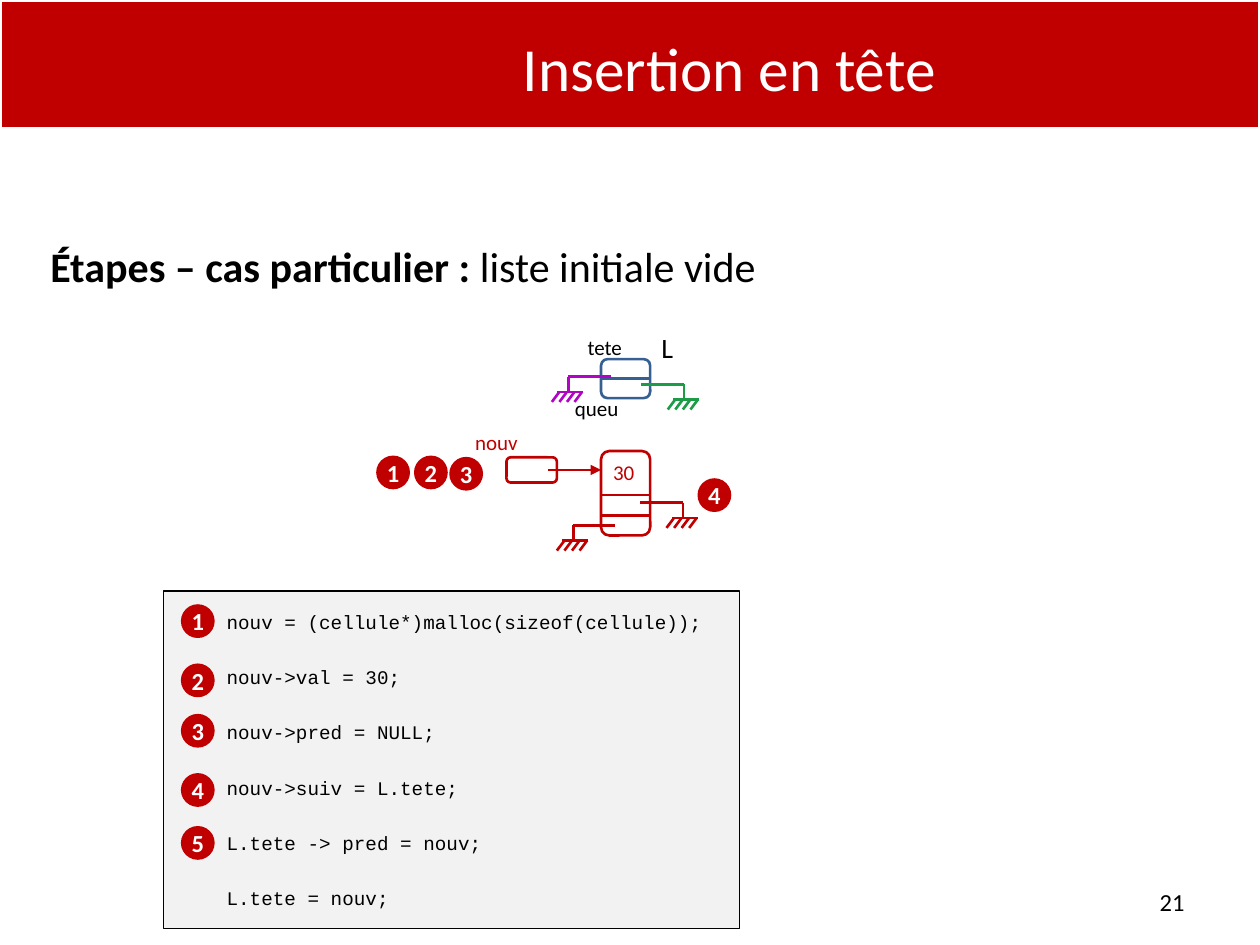
from pptx import Presentation
from pptx.dml.color import RGBColor
from pptx.enum.shapes import MSO_CONNECTOR, MSO_SHAPE
from pptx.enum.text import MSO_ANCHOR, PP_ALIGN
from pptx.oxml.ns import qn
from pptx.util import Inches, Pt
from lxml.etree import SubElement

RED = RGBColor(0xC0, 0x00, 0x00)
WHITE = RGBColor(0xFF, 0xFF, 0xFF)
BLACK = RGBColor(0x00, 0x00, 0x00)
BLUE = RGBColor(0x36, 0x60, 0x92)
PURPLE = RGBColor(0xB1, 0x05, 0xC3)
GREEN = RGBColor(0x1C, 0x9C, 0x47)
GREY = RGBColor(0xF2, 0xF2, 0xF2)

deck = Presentation()
deck.slide_width, deck.slide_height = Inches(10), Inches(7.5)
slide = deck.slides.add_slide(deck.slide_layouts[1])
shapes = slide.shapes


def write(par, text, size, color, bold=False, font="Calibri"):
    run = par.add_run()
    run.text = text
    run.font.name = font
    run.font.size = Pt(size)
    run.font.bold = bold
    run.font.color.rgb = color


def wire(x1, y1, x2, y2, color):
    line = shapes.add_connector(MSO_CONNECTOR.STRAIGHT, Inches(x1), Inches(y1), Inches(x2), Inches(y2))
    line.line.color.rgb = color
    line.line.width = Pt(1.5)
    SubElement(line._element.spPr, qn("a:effectLst"))
    return line


body = slide.placeholders[1]
body.left, body.top, body.width, body.height = Inches(0.28), Inches(1.86), Inches(9.37), Inches(5.43)
par = body.text_frame.paragraphs[0]
props = par._p.get_or_add_pPr()
props.set("marL", str(Inches(0.4)))
props.set("indent", str(Inches(-0.38)))
SubElement(props, qn("a:buNone"))
par.alignment = PP_ALIGN.JUSTIFY
par.space_before = Pt(0)
write(par, "Étapes – cas particulier : ", 24, BLACK, True)
write(par, "liste initiale vide", 24, BLACK)

banner = shapes.add_shape(MSO_SHAPE.RECTANGLE, 0, 0, Inches(10), Inches(1.02))
banner.shadow.inherit = False
banner.fill.solid()
banner.fill.fore_color.rgb = RED
banner.line.color.rgb = WHITE
banner.line.width = Pt(2)

title = shapes.title
title.left, title.top, title.width, title.height = Inches(2.17), Inches(0.19), Inches(7.24), Inches(0.69)
title.text_frame.vertical_anchor = MSO_ANCHOR.MIDDLE
par = title.text_frame.paragraphs[0]
par.alignment = PP_ALIGN.CENTER
write(par, "Insertion en tête", 35, WHITE)
banner._element.addnext(title._element)

boxes = []
for x, y, w, h, color in [
    (4.77, 2.85, 0.39, 0.31, BLUE),
    (4.77, 3.58, 0.39, 0.67, RED),
    (4.02, 3.63, 0.4, 0.2, RED),
]:
    box = shapes.add_shape(MSO_SHAPE.ROUNDED_RECTANGLE, Inches(x), Inches(y), Inches(w), Inches(h))
    box.shadow.inherit = False
    box.fill.background()
    box.line.color.rgb = color
    box.line.width = Pt(1.5)
    boxes.append(box)

split = wire(4.77, 3, 5.16, 3, BLUE)
split.begin_connect(boxes[0], 1)
split.end_connect(boxes[0], 3)
for y in (3.93, 4.09):
    wire(4.77, y, 5.16, y, RED)
arrow = wire(4.35, 3.73, 4.77, 3.73, RED)
SubElement(arrow.line._get_or_add_ln(), qn("a:tailEnd"), type="triangle")

for start, post, y, color in [
    (4.85, 4.51, 2.99, PURPLE),
    (5.09, 5.43, 3.05, GREEN),
    (4.88, 4.55, 4.17, RED),
    (5.08, 5.42, 3.99, RED),
]:
    base = y + 0.12
    wire(start, y, post, y, color)
    wire(post, y, post, base, color)
    wire(post - 0.09, base, post + 0.12, base, color)
    for i in range(4):
        x = post - 0.07 + i * 0.06
        wire(x, base, x - 0.06, base + 0.08, color)

for text, x, y, w, h, size, color in [
    ("tete", 4.3, 2.61, 1, 0.24, 12, BLACK),
    ("queu", 4.31, 3.09, 0.85, 0.3, 12, BLACK),
    ("L", 5.11, 2.57, 0.37, 0.29, 16, BLACK),
    ("30", 4.76, 3.6, 0.38, 0.3, 12, RED),
    ("nouv", 3.66, 3.36, 0.56, 0.3, 12, RED),
    ("21", 7.17, 6.99, 2.33, 0.33, 14, BLACK),
]:
    label = shapes.add_textbox(Inches(x), Inches(y), Inches(w), Inches(h))
    label.text_frame.word_wrap = True
    par = label.text_frame.paragraphs[0]
    par.alignment = PP_ALIGN.RIGHT if text == "21" else PP_ALIGN.CENTER
    write(par, text, size, color)

panel = shapes.add_shape(MSO_SHAPE.RECTANGLE, Inches(1.3), Inches(4.69), Inches(4.57), Inches(2.68))
panel.shadow.inherit = False
panel.fill.solid()
panel.fill.fore_color.rgb = GREY
panel.line.color.rgb = BLACK
panel.line.width = Pt(0.75)
frame = panel.text_frame
frame.word_wrap = True
frame.vertical_anchor = MSO_ANCHOR.MIDDLE
for i, code in enumerate([
    "nouv = (cellule*)malloc(sizeof(cellule));",
    "nouv->val = 30;",
    "nouv->pred = NULL;",
    "nouv->suiv = L.tete;",
    "L.tete -> pred = nouv;",
    "L.tete = nouv;",
]):
    par = frame.add_paragraph() if i else frame.paragraphs[0]
    par._p.get_or_add_pPr().set("marL", str(Inches(0.4)))
    par.alignment = PP_ALIGN.LEFT
    par.space_before = Pt(18.3 if i else 0)
    write(par, code, 11, BLACK, font="Courier New")

for text, x, y in [
    ("1", 3, 3.63), ("2", 3.3, 3.63), ("3", 3.58, 3.64), ("4", 5.55, 3.81),
    ("1", 1.45, 4.81), ("2", 1.45, 5.28), ("3", 1.45, 5.68), ("4", 1.45, 6.15), ("5", 1.45, 6.57),
]:
    badge = shapes.add_shape(MSO_SHAPE.OVAL, Inches(x), Inches(y), Inches(0.24), Inches(0.24))
    badge.shadow.inherit = False
    badge.fill.solid()
    badge.fill.fore_color.rgb = RED
    badge.line.color.rgb = RED
    badge.line.width = Pt(2)
    frame = badge.text_frame
    frame.margin_left = frame.margin_right = frame.margin_top = frame.margin_bottom = 0
    frame.word_wrap = False
    frame.vertical_anchor = MSO_ANCHOR.MIDDLE
    par = frame.paragraphs[0]
    par.alignment = PP_ALIGN.CENTER
    write(par, text, 14, WHITE, True)

deck.save("out.pptx")
